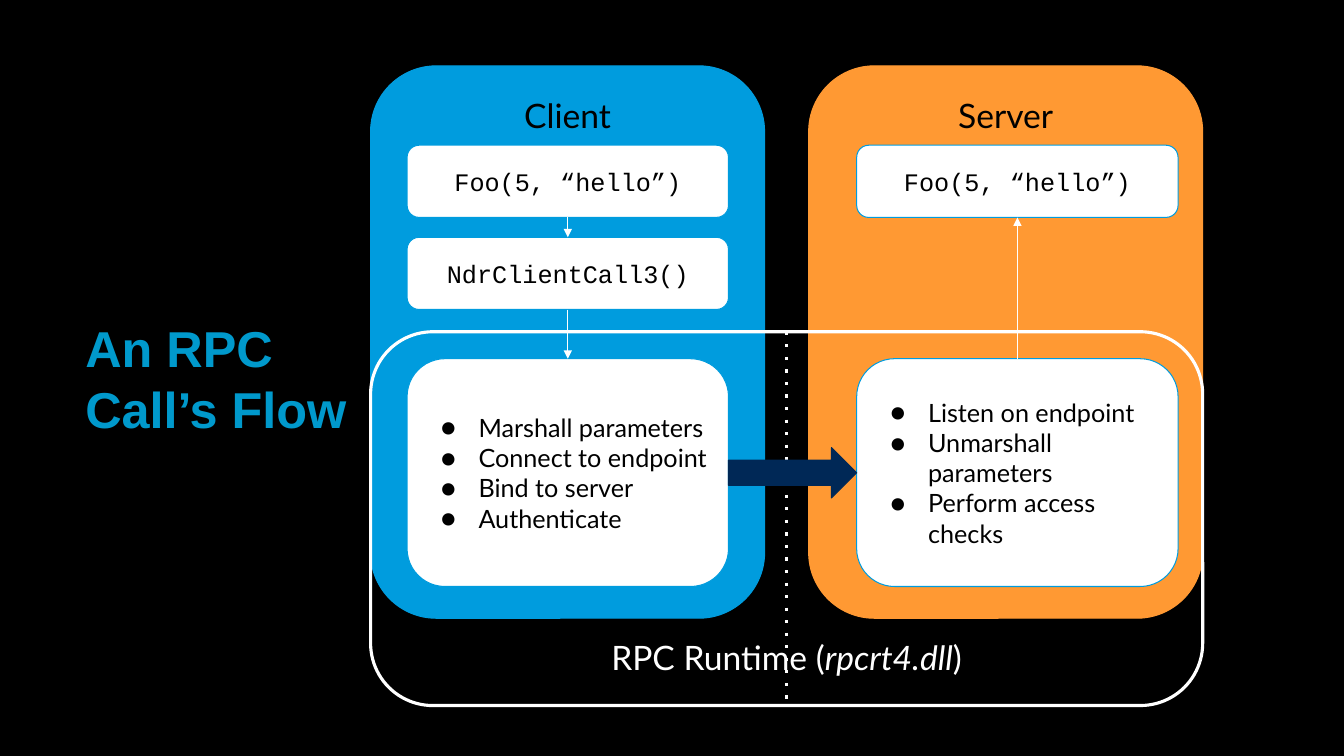
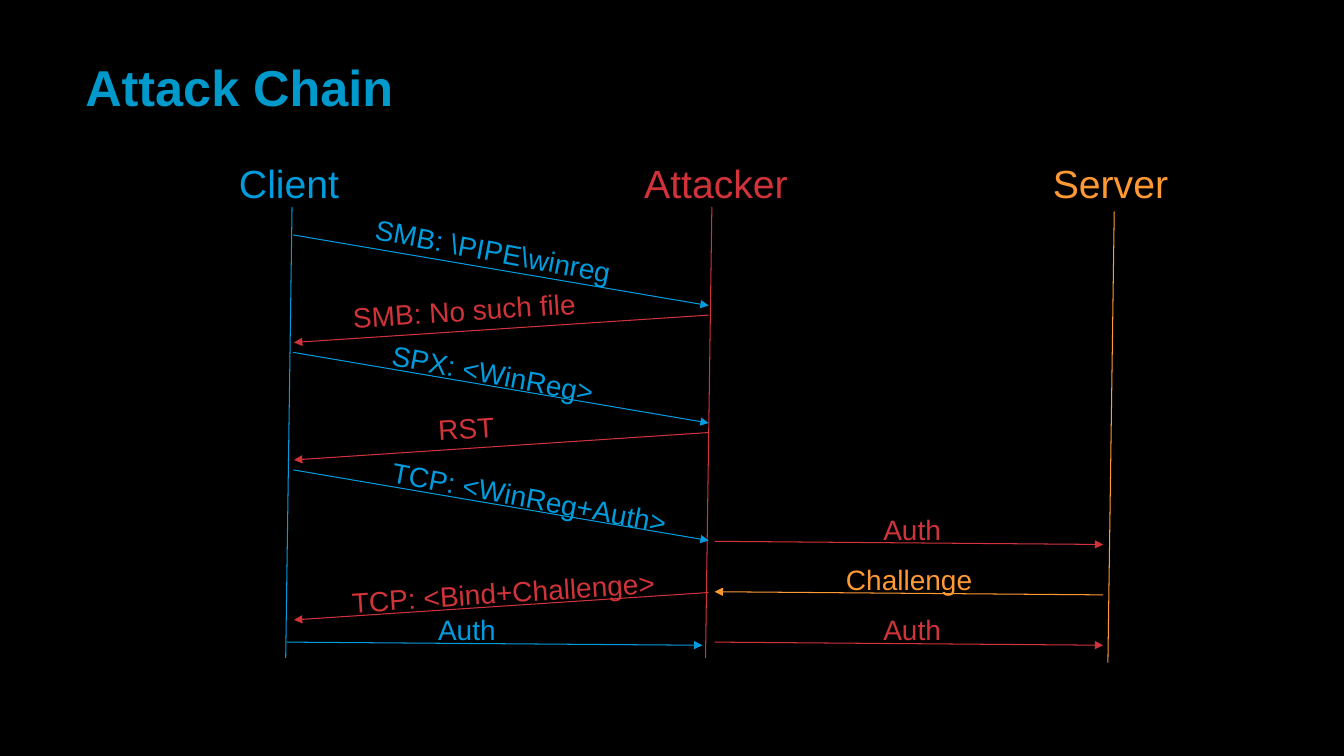
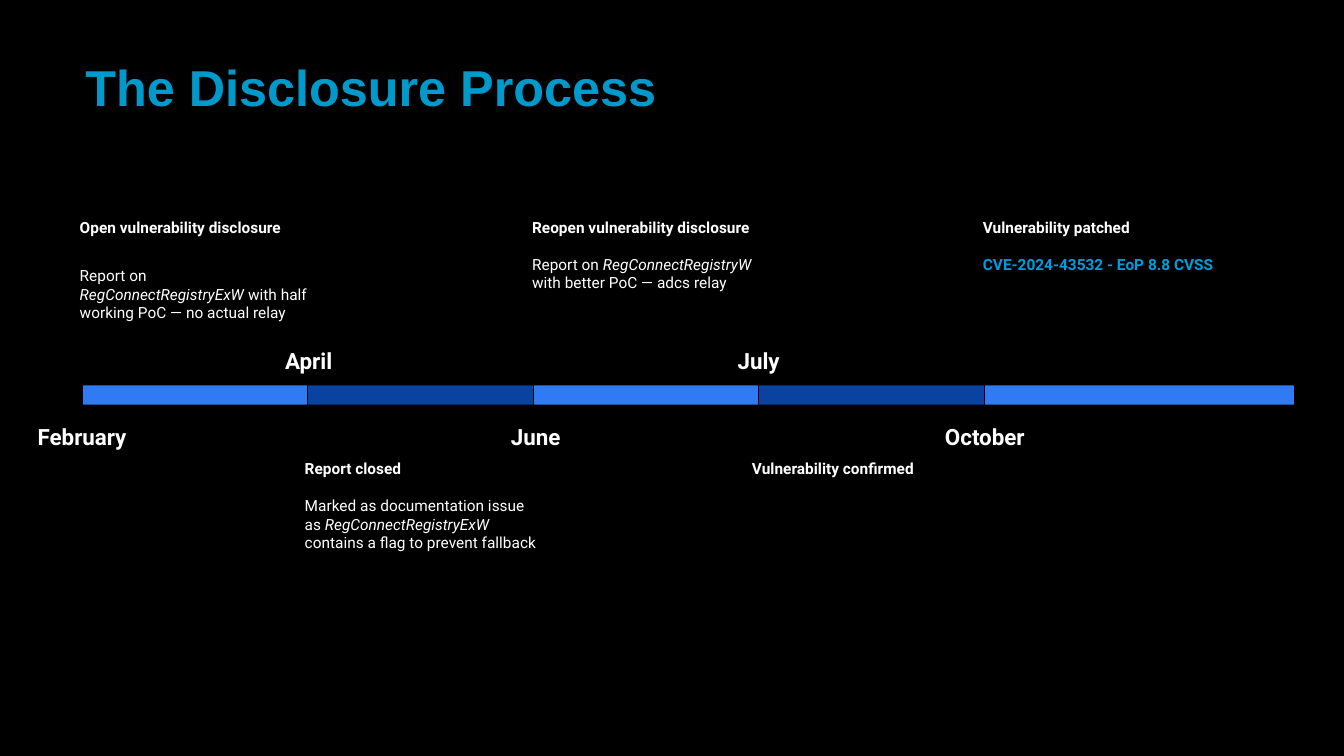
import pptx
import pptx.dml.color
import pptx.enum.shapes
import pptx.enum.text
import pptx.oxml.ns
import pptx.util
from lxml import etree

Cm = pptx.util.Cm
Pt = pptx.util.Pt
qn = pptx.oxml.ns.qn
SHAPES = pptx.enum.shapes.MSO_SHAPE
ALIGN = pptx.enum.text.PP_ALIGN
ANCHOR = pptx.enum.text.MSO_ANCHOR

COLORS = {
    "black": "000000",
    "white": "FFFFFF",
    "title": "0099CC",
    "client": "009CDE",
    "server": "FF9933",
    "attacker": "D0343A",
    "navy": "002856",
    "bar_light": "307AF3",
    "bar_dark": "0942A1",
}
TOP, BOTTOM = 0, 2  # connection sites


def color(name):
    return pptx.dml.color.RGBColor.from_string(COLORS[name])


# ---- Shared helpers ----
def add_span(para, text, font="Arial", size=18, ink="black", bold=False, italic=False):
    span = para.add_run()
    span.text = text
    span.font.name = font
    span.font.size = Pt(size)
    span.font.color.rgb = color(ink)
    span.font.bold = bold
    span.font.italic = italic
    return span


def set_frame(frame, anchor=ANCHOR.TOP, inset=0.25):
    frame.word_wrap = True
    frame.auto_size = pptx.enum.text.MSO_AUTO_SIZE.NONE
    frame.vertical_anchor = anchor
    frame.margin_left = frame.margin_right = Cm(inset)
    frame.margin_top = frame.margin_bottom = Cm(inset)


def add_label(page, box, text, align=ALIGN.LEFT, inset=0.25, angle=0, **style):
    label = page.shapes.add_textbox(*map(Cm, box))
    label.rotation = angle
    set_frame(label.text_frame, inset=inset)
    para = label.text_frame.paragraphs[0]
    para.alignment = align
    add_span(para, text, **style)
    return label


def add_block(page, kind, box, fill=None, line=None, width=0.75, anchor=ANCHOR.MIDDLE):
    block = page.shapes.add_shape(kind, *map(Cm, box))
    block.shadow.inherit = False
    if fill:
        block.fill.solid()
        block.fill.fore_color.rgb = color(fill)
    else:
        block.fill.background()
    if line:
        block.line.color.rgb = color(line)
        block.line.width = Pt(width)
    else:
        block.line.fill.background()
    set_frame(block.text_frame, anchor)
    block.text_frame.paragraphs[0].alignment = ALIGN.CENTER
    return block


def add_line(page, ink, start=(0, 0), end=(0, 0), joins=None, width=0.75,
             arrow=False, dash=None):
    """Draw from start to end, or between two (shape, site) joins."""
    line = page.shapes.add_connector(
        pptx.enum.shapes.MSO_CONNECTOR.STRAIGHT, *map(Cm, (*start, *end)))
    if joins:
        line.begin_connect(*joins[0])
        line.end_connect(*joins[1])
    line.line.color.rgb = color(ink)
    line.line.width = Pt(width)
    properties = line._element.spPr
    outline = properties.find(qn("a:ln"))
    if dash:
        etree.SubElement(outline, qn("a:prstDash")).set("val", dash)
    if arrow:
        etree.SubElement(outline, qn("a:tailEnd")).set("type", "triangle")
    etree.SubElement(properties, qn("a:effectLst"))
    return line


def add_bullet(para, font):
    properties = para._p.get_or_add_pPr()
    properties.set("marL", str(Cm(1.27)))
    properties.set("indent", str(-Cm(0.95)))
    etree.SubElement(properties, qn("a:buFont")).set("typeface", font)
    etree.SubElement(properties, qn("a:buChar")).set("char", "●")


def add_page(deck, title, box=(1.9, 1.55, 30.91, 1.27)):
    page = deck.slides.add_slide(deck.slide_layouts.get_by_name("Title Only"))
    holder = page.shapes.title
    holder.left, holder.top, holder.width, holder.height = map(Cm, box)
    set_frame(holder.text_frame, ANCHOR.MIDDLE)
    para = holder.text_frame.paragraphs[0]
    para.alignment = ALIGN.LEFT
    add_span(para, title, size=36, ink="title", bold=True)
    return page


# ---- Call flow ----
def add_call(page, box, code):
    call = add_block(page, SHAPES.ROUNDED_RECTANGLE, box, "white", "client")
    add_span(call.text_frame.paragraphs[0], code, font="Courier New")
    return call


def add_steps(page, box, steps):
    block = add_block(page, SHAPES.ROUNDED_RECTANGLE, box, "white", "client")
    frame = block.text_frame
    for index, step in enumerate(steps):
        para = frame.add_paragraph() if index else frame.paragraphs[0]
        para.alignment = ALIGN.LEFT
        add_bullet(para, "Lato")
        add_span(para, step, font="Lato")
    return block


def add_party(page, box, name, fill, inset, calls, steps):
    """Draw one side's panel; return its call boxes and its step list."""
    left, top = box[0] + inset, box[1]
    panel = add_block(page, SHAPES.ROUNDED_RECTANGLE, box, fill, fill, anchor=ANCHOR.TOP)
    add_span(panel.text_frame.paragraphs[0], name, font="Lato", size=24)
    call_boxes = [add_call(page, (left, top + 2 + 2.32 * row, 8.1, 1.82), code)
                  for row, code in enumerate(calls)]
    return call_boxes, add_steps(page, (left, top + 7.38, 8.1, 5.74), steps)


def add_runtime(page, box):
    frame = add_block(page, SHAPES.ROUNDED_RECTANGLE, box, None, "white", 2.25, ANCHOR.BOTTOM)
    para = frame.text_frame.paragraphs[0]
    for text, italic in (("RPC Runtime (", False), ("rpcrt4.dll", True), (")", False)):
        add_span(para, text, font="Lato", size=24, ink="white", italic=italic)
    add_line(page, "white", joins=((frame, TOP), (frame, BOTTOM)), width=2.25, dash="dot")


def build_call_flow(deck):
    page = add_page(deck, "An RPC Call’s Flow", (1.9, 8.89, 7.44, 1.27))
    (foo, ndr), client_steps = add_party(
        page, (9.34, 1.66, 9.93, 13.92), "Client", "client", 0.92,
        ["Foo(5, “hello”)", "NdrClientCall3()"],
        ["Marshall parameters", "Connect to endpoint", "Bind to server", "Authenticate"])
    (server_foo,), server_steps = add_party(
        page, (20.38, 1.66, 9.93, 13.92), "Server", "server", 1.21,
        ["Foo(5, “hello”)"],
        ["Listen on endpoint", "Unmarshall parameters", "Perform access checks"])
    for joins in (((foo, BOTTOM), (ndr, TOP)),
                  ((ndr, BOTTOM), (client_steps, TOP)),
                  ((server_steps, TOP), (server_foo, BOTTOM))):
        add_line(page, "white", joins=joins, arrow=True)
    add_runtime(page, (9.34, 8.36, 20.97, 9.42))
    # Transfer arrow fills the gap between the two lists
    start = (client_steps.left + client_steps.width) / Cm(1)
    middle = (client_steps.top + client_steps.height / 2) / Cm(1)
    gap = server_steps.left / Cm(1) - start
    add_block(page, SHAPES.RIGHT_ARROW, (start, middle - 0.63, gap, 1.27), "navy", "navy")


# ---- Attack chain ----
# Route: start x, end x, drop along the arrow, angle of its text
ROUTES = {
    "request": (1.78, 12.25, 1.78, 10.6),
    "reply": (12.25, 1.8, 0.69, -3.7),
    "direct": (1.61, 12.09, 0.08, 0),
    "relay": (12.4, 22.19, 0.08, 0),
    "relay back": (22.19, 12.4, -0.08, 0),
}
# Lifeline: name, colour, label left, label width, line x, line top
LIFELINES = [
    ("Client", "client", 0.01, 3.33, 1.75, 1.45),
    ("Attacker", "attacker", 10.29, 4.29, 12.33, 1.45),
    ("Server", "server", 20.42, 3.91, 22.47, 1.57),
]
# Message: text, route, colour, arrow y, label left, top and width, alignment
MESSAGES = [
    (r"SMB: \PIPE\winreg", "request", "client", 2.16, 3.56, 1.88, 6.53, ALIGN.LEFT),
    ("SMB: No such file", "reply", "attacker", 4.18, 3.03, 3.38, 6.22, ALIGN.LEFT),
    ("SPX: <WinReg>", "request", "client", 5.12, 3.98, 5.05, 6.53, ALIGN.LEFT),
    ("RST", "reply", "attacker", 7.14, 3.03, 6.35, 6.22, ALIGN.CENTER),
    ("TCP: <WinReg+Auth>", "request", "client", 8.08, 3.97, 8.13, 7.95, ALIGN.LEFT),
    ("Auth", "relay", "attacker", 9.88, 16.4, 8.91, 2.06, ALIGN.LEFT),
    ("Challenge", "relay back", "server", 11.23, 15.46, 10.16, 3.73, ALIGN.LEFT),
    ("TCP: <Bind+Challenge>", "reply", "attacker", 11.17, 2.87, 10.49, 8.41, ALIGN.CENTER),
    ("Auth", "direct", "client", 12.42, 5.18, 11.43, 2.06, ALIGN.LEFT),
    ("Auth", "relay", "attacker", 12.42, 16.4, 11.43, 2.06, ALIGN.LEFT),
]


def add_sequence(page, left, top):
    for name, ink, label_left, width, x, y in LIFELINES:
        add_label(page, (left + label_left, top, width, 1.7), name, ALIGN.CENTER,
                  size=28, ink=ink)
        add_line(page, ink, (left + x, top + y), (left + x - 0.16, top + y + 11.37))
    for text, route, ink, y, label_left, label_top, width, align in MESSAGES:
        start, end, drop, angle = ROUTES[route]
        add_line(page, ink, (left + start, top + y), (left + end, top + y + drop), arrow=True)
        add_label(page, (left + label_left, top + label_top, width, 1.37), text, align,
                  angle=angle, size=20, ink=ink)


# ---- Disclosure timeline ----
# Event: month, its shift and the note's shift from the tick, heading,
# space before details, details as (text, format)
EVENTS = [
    ("February", -0.01, -0.4, "Open vulnerability disclosure", 21,
     [("Report on ", {}), ("RegConnectRegistryExW ", {"italic": True}),
      ("with half working PoC — no actual relay", {})]),
    ("April", 0.02, -0.41, "Report closed", 13,
     [("Marked as documentation issue as ", {}), ("RegConnectRegistryExW", {"italic": True}),
      (" contains a flag to prevent fallback", {})]),
    ("June", 0.06, -0.36, "Reopen vulnerability disclosure", 13,
     [("Report on ", {}), ("RegConnectRegistryW", {"italic": True}),
      (" with better PoC — adcs relay", {})]),
    ("July", 0, -0.5, "Vulnerability confirmed", 0, []),
    ("October", 0.02, -0.36, "Vulnerability patched", 13,
     [("CVE-2024-43532 - EoP 8.8 CVSS", {"ink": "client", "bold": True})]),
]


def add_event(page, box, heading, gap, details):
    note = add_label(page, box, heading, inset=0.33, font="Roboto", size=11,
                     ink="white", bold=True)
    if details:
        para = note.text_frame.add_paragraph()
        para.space_before = Pt(gap)
        for text, style in details:
            add_span(para, text, **{"font": "Roboto", "size": 11, "ink": "white", **style})


def add_timeline(page, box, step=5.68):
    left, top, width, height = box
    for index, (month, shift, note_shift, heading, gap, details) in enumerate(EVENTS):
        x = left + index * step
        is_last = index == len(EVENTS) - 1
        month_below = index % 2 == 0
        add_block(page, SHAPES.RECTANGLE,
                  (x, top, left + width - x if is_last else step, height),
                  "bar_light" if month_below else "bar_dark")
        # Tick through the bar, from the note's side
        tick_start, tick_end = (-0.84, 0.51) if month_below else (1.35, 0)
        add_line(page, "black", (x, top + tick_start), (x, top + tick_end))
        label = add_label(
            page, (x + shift - 1.61, top + (0.52 if month_below else -1.4), 3.22, 1.37),
            month, ALIGN.CENTER, inset=0.33, font="Roboto", size=16, ink="white", bold=True)
        label.text_frame.paragraphs[0].line_spacing = 1.15
        add_event(page, (x + note_shift, top + (-4.54 if month_below else 1.54), 6.55, 3.5),
                  heading, gap, details)


def main():
    deck = pptx.Presentation()
    deck.slide_width, deck.slide_height = Cm(33.87), Cm(19.05)
    background = deck.slide_master.background.fill
    background.solid()
    background.fore_color.rgb = color("black")

    build_call_flow(deck)
    add_sequence(add_page(deck, "Attack Chain"), 5.61, 3.76)
    add_timeline(add_page(deck, "The Disclosure Process"), (2.08, 9.71, 30.53, 0.49))
    deck.save("out.pptx")


if __name__ == "__main__":
    main()
